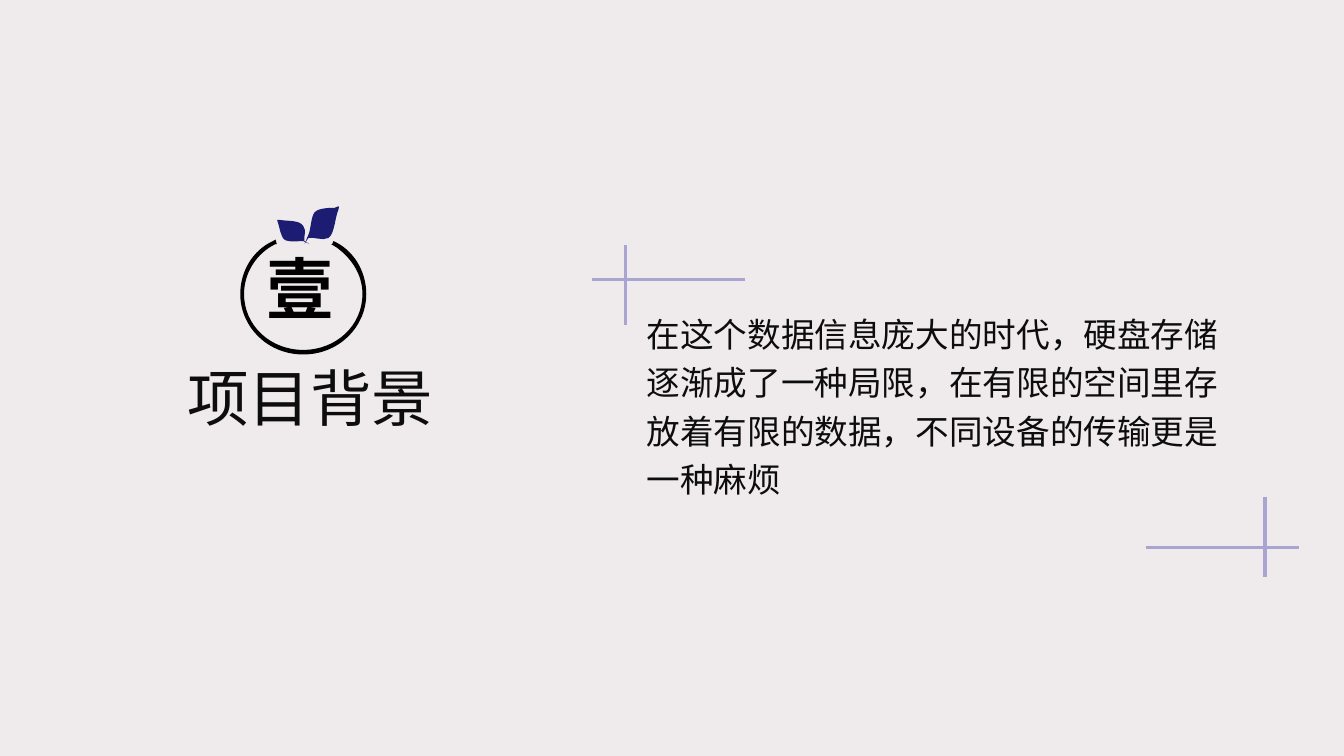
import pptx
import pptx.util
import pptx.dml.color
import pptx.enum.text
import pptx.enum.shapes
import pptx.oxml.ns
from dataclasses import dataclass

COLS, ROWS = 160, 90
WIDE, HIGH = pptx.util.Inches(13.333), pptx.util.Inches(7.5)
TEXT = pptx.enum.text


@dataclass
class Theme:
    face: str = "Noto Sans CJK SC"
    back: str = "EFEBEC"
    ink: str = "0D0D0D"
    dark: str = "000000"
    leaf: str = "1C1C73"
    rule: str = "AAA4D1"
    head: int = 44
    mark: int = 48
    body: int = 24
    line: float = 2.25


theme = Theme()

PARTS = (
    (theme.leaf, "LCCCCCL", (
        (.55, .27), (.5, .25),
        (.47, .25), (.38, .26), (.35, .24),
        (.32, .22), (.31, .15), (.3, .13),
        (.3, .11), (.28, .11), (.31, .11),
        (.38, .12), (.47, .11), (.5, .15),
        (.53, .18), (.5, .23), (.51, .25), (.55, .27))),
    (theme.leaf, "LCCCCCL", (
        (.51, .27), (.54, .21),
        (.56, .18), (.56, .09), (.59, .06),
        (.62, .03), (.72, .03), (.75, .03),
        (.78, .02), (.79, .01), (.78, .04),
        (.75, .1), (.75, .2), (.7, .23),
        (.65, .25), (.58, .22), (.54, .23), (.51, .27))),
    (theme.dark, "LCCCCLLLCCCCLC", (
        (.28, .24), (.26, .25),
        (.1, .31), (0, .45), (0, .6),
        (0, .82), (.22, 1), (.5, 1),
        (.78, 1), (1, .82), (1, .6),
        (1, .45), (.9, .31), (.74, .25),
        (.73, .27), (.72, .27), (.76, .29),
        (.88, .36), (.97, .47), (.97, .6),
        (.97, .81), (.76, .97), (.5, .97),
        (.24, .97), (.03, .81), (.03, .6),
        (.03, .46), (.13, .33), (.28, .27), (.29, .27),
        (.28, .26), (.28, .25), (.28, .24))),
)


def rgb(code):
    return pptx.dml.color.RGBColor.from_string(code)


def tag(name):
    return pptx.oxml.ns.qn("a:" + name)


def extend(node, name, **values):
    node.append(node.makeelement(tag(name), values))


def grid(col, row, cols, rows):
    return (round(col * WIDE / COLS), round(row * HIGH / ROWS),
            round(cols * WIDE / COLS), round(rows * HIGH / ROWS))


def apply(item, style):
    for name, value in style.items():
        setattr(item, name, value)


def spot(box, x, y):
    left, top, wide, high = box
    return round(left + x * wide), round(top + y * high)


def place(shape, box):
    apply(shape, dict(zip(("left", "top", "width", "height"), box)))


def write(shape, text, size, color, para, bold=False):
    frame = shape.text_frame
    apply(frame, {"word_wrap": True, "auto_size": TEXT.MSO_AUTO_SIZE.SHAPE_TO_FIT_TEXT,
                  "vertical_anchor": TEXT.MSO_ANCHOR.TOP})
    line = frame.paragraphs[0]
    apply(line, para)
    run = line.add_run()
    run.text = text
    apply(run.font, {"name": theme.face, "size": pptx.util.Pt(size), "bold": bold})
    run.font.color.rgb = rgb(color)
    extend(run.font._element, "ea", typeface=theme.face)
    return line


def bend(shape, codes):
    steps = list(shape._element.iter(tag("lnTo")))
    for code in codes:
        step = steps.pop(0)
        if code == "C":
            curve = step.makeelement(tag("cubicBezTo"), {})
            step.addprevious(curve)
            for part in (step, steps.pop(0), steps.pop(0)):
                curve.append(part[0])
                part.getparent().remove(part)


def outline(group, box, color, codes, points):
    first, *rest = [spot(box, *point) for point in points]
    build = group.shapes.build_freeform(*first)
    build.add_line_segments(rest, close=True)
    shape = build.convert_to_shape()
    bend(shape, codes)
    shape.shadow.inherit = False
    shape.fill.solid()
    shape.fill.fore_color.rgb = rgb(color)
    shape.line.fill.background()


def badge(slide, box, text):
    group = slide.shapes.add_group_shape()
    for part in PARTS:
        outline(group, box, *part)
    label = group.shapes.add_textbox(
        *spot(box, .13, .26), round(.8 * box[2]), round(.61 * box[3]))
    write(label, text, theme.mark, theme.dark, {}, bold=True)


def cross(slide, box, x, y):
    group = slide.shapes.add_group_shape()
    for start, end in (((0, y), (1, y)), ((x, 0), (x, 1))):
        line = group.shapes.add_connector(
            pptx.enum.shapes.MSO_CONNECTOR.STRAIGHT, *spot(box, *start), *spot(box, *end))
        line.line.width = pptx.util.Pt(theme.line)
        line.line.color.rgb = rgb(theme.rule)
        extend(line._element.spPr, "effectLst")


def title(slide, box, text):
    shape = slide.shapes.title
    place(shape, box)
    write(shape, text, theme.head, theme.ink, {"alignment": TEXT.PP_ALIGN.CENTER})


def body(slide, box, text):
    shape = slide.placeholders[1]
    place(shape, box)
    line = write(shape, text, theme.body, theme.ink,
                 {"line_spacing": 1.2, "space_before": 0,
                  "alignment": TEXT.PP_ALIGN.LEFT})
    props = line._p.get_or_add_pPr()
    for name in ("marL", "indent"):
        props.set(name, "0")
    extend(props, "buNone")


def main():
    deck = pptx.Presentation()
    apply(deck, {"slide_width": WIDE, "slide_height": HIGH})
    slide = deck.slides.add_slide(deck.slide_layouts[1])
    fill = slide.background.fill
    fill.solid()
    fill.fore_color.rgb = rgb(theme.back)
    title(slide, grid(3.4, 42.2, 67.1, 10.1), "项目背景")
    cross(slide, grid(70.5, 29.2, 18.2, 9.45), .22, .43)
    cross(slide, grid(136.4, 59.2, 18.2, 9.45), .78, .63)
    badge(slide, grid(28.6, 24.2, 15, 18), "壹")
    body(slide, grid(75.8, 35.8, 73.3, 24.5),
         "在这个数据信息庞大的时代，硬盘存储逐渐成了一种局限，"
         "在有限的空间里存放着有限的数据，不同设备的传输更是一种麻烦")
    deck.save("out.pptx")


if __name__ == "__main__":
    main()
